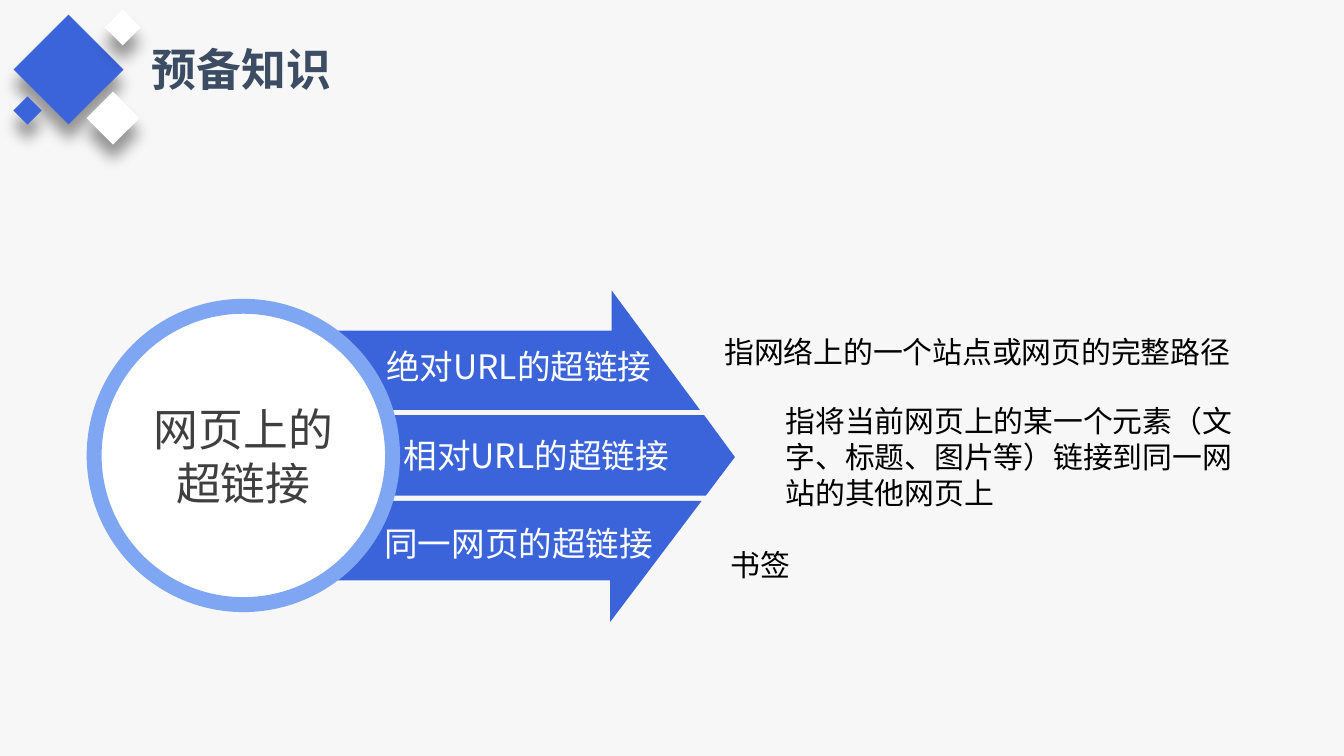
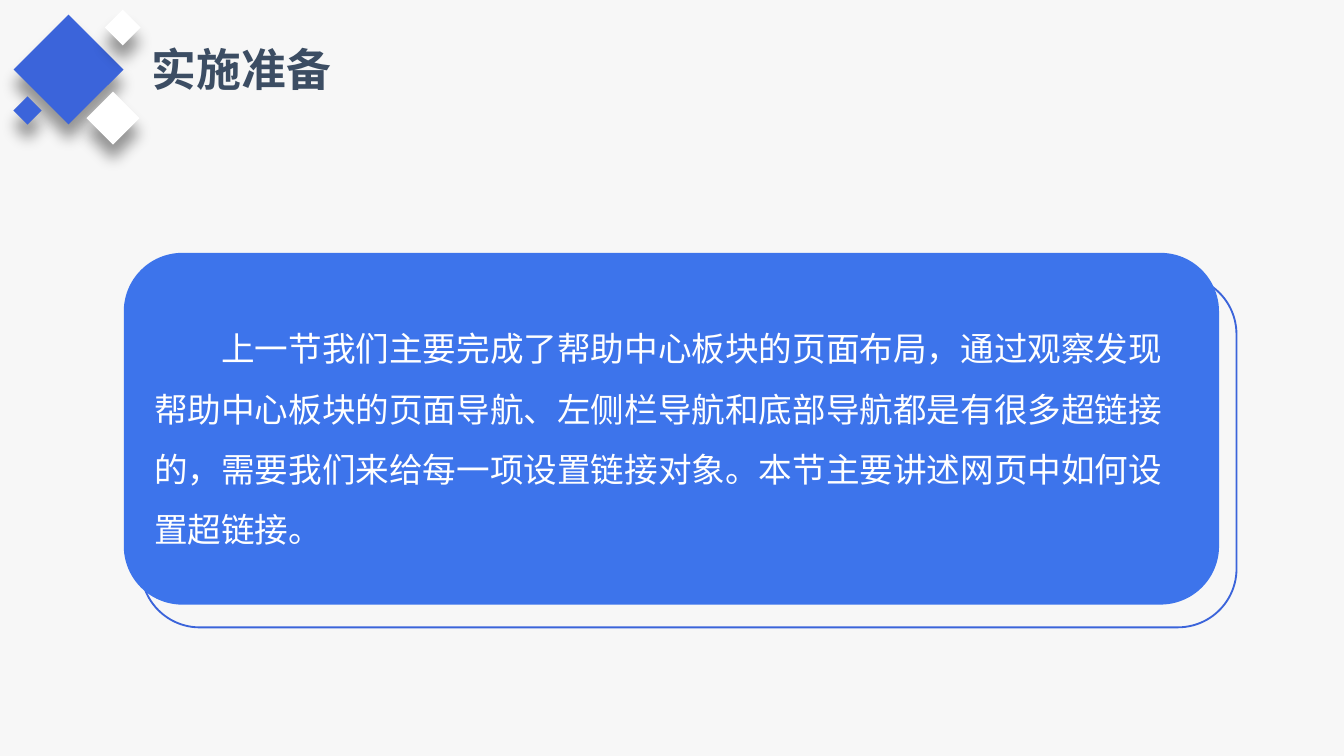
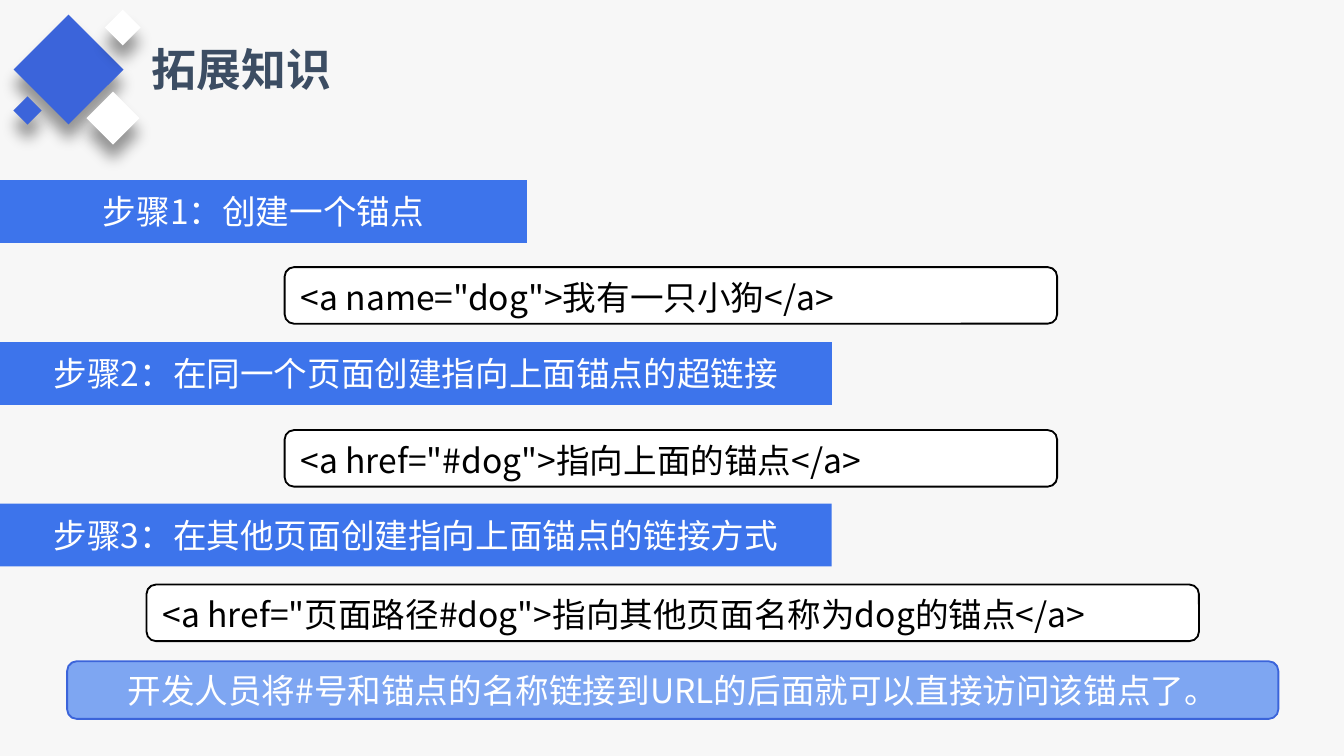
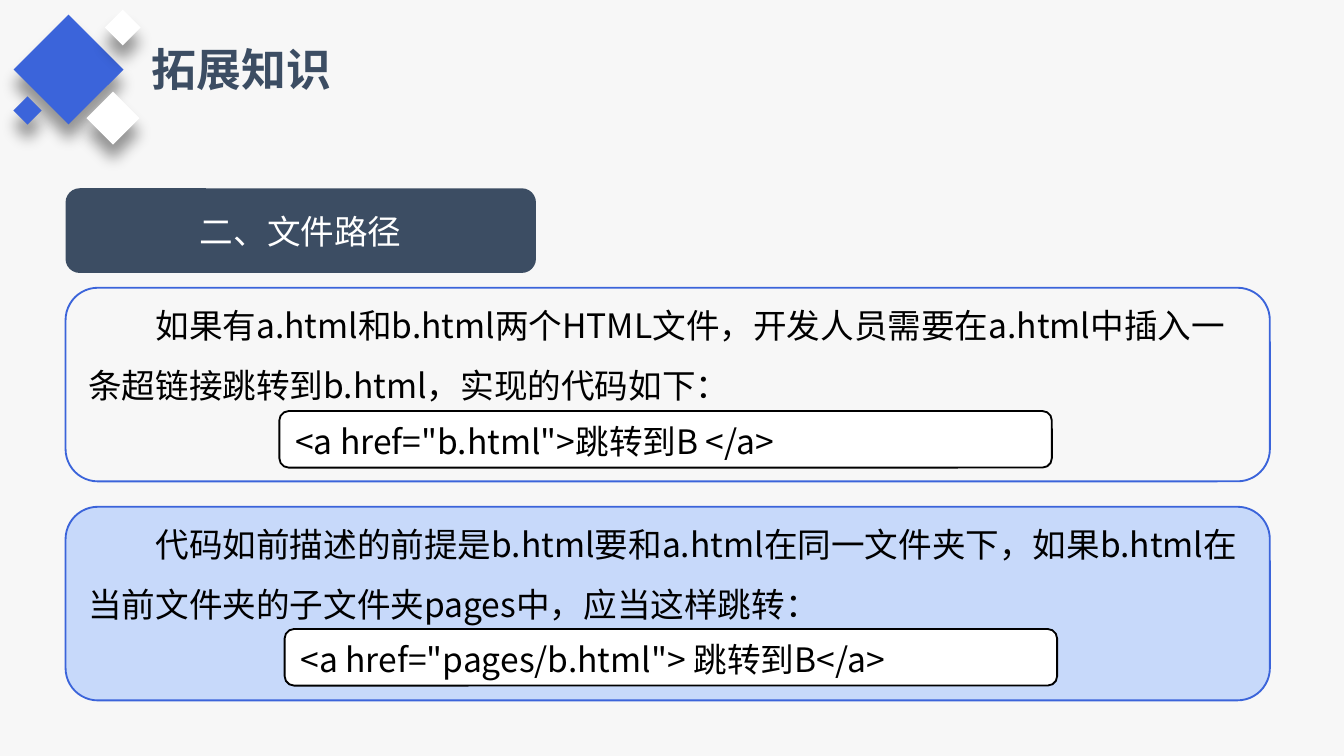
from dataclasses import dataclass
from typing import NamedTuple, Optional

from lxml import etree
from pptx import Presentation
from pptx.dml.color import RGBColor
from pptx.enum.shapes import MSO_SHAPE
from pptx.enum.text import MSO_ANCHOR, MSO_AUTO_SIZE, PP_ALIGN
from pptx.oxml.ns import qn
from pptx.shapes.autoshape import Shape
from pptx.slide import Slide
from pptx.util import Cm, Pt

RECT = MSO_SHAPE.RECTANGLE
ROUND = MSO_SHAPE.ROUNDED_RECTANGLE
OVAL = MSO_SHAPE.OVAL
PROCESS = MSO_SHAPE.FLOWCHART_PROCESS
SOFT = MSO_SHAPE.FLOWCHART_ALTERNATE_PROCESS
TOP, MIDDLE = MSO_ANCHOR.TOP, MSO_ANCHOR.MIDDLE
LEFT, CENTER = PP_ALIGN.LEFT, PP_ALIGN.CENTER

FONT = "Noto Sans CJK SC"
PAPER = RGBColor(0xF7, 0xF7, 0xF7)
SLATE = RGBColor(0x3C, 0x4D, 0x63)
ROYAL = RGBColor(0x3B, 0x64, 0xDA)
BRIGHT = RGBColor(0x3D, 0x74, 0xEB)
SKY = RGBColor(0x7E, 0xA6, 0xF2)
PALE = RGBColor(0xC7, 0xD9, 0xFA)
GREY = RGBColor(0x3F, 0x3F, 0x3F)
WHITE = RGBColor(0xFF, 0xFF, 0xFF)
BLACK = RGBColor(0x00, 0x00, 0x00)


class Box(NamedTuple):
    """Left, top, width and height in centimetres."""
    x: float
    y: float
    w: float
    h: float


class Pad(NamedTuple):
    """Left, top, right and bottom text margins in centimetres."""
    left: float = 0.25
    top: float = 0.13
    right: float = 0.25
    bottom: float = 0.13


@dataclass(frozen=True)
class Style:
    color: RGBColor = BLACK
    size: int = 18
    bold: bool = False
    align: int = LEFT
    anchor: int = MIDDLE
    pad: Pad = Pad()
    indent: float = 0
    leading: Optional[float] = None


@dataclass(frozen=True)
class Look:
    kind: int
    fill: Optional[RGBColor] = None
    line: Optional[RGBColor] = None
    width: float = 1


class Gem(NamedTuple):
    x: float
    y: float
    side: float
    color: RGBColor


class Part(NamedTuple):
    """One strip of the large arrow."""
    text: str
    pad: Pad
    points: list[tuple[float, float]]


class Step(NamedTuple):
    head: str
    kind: int
    width: float
    code: str
    box: Box


class Card(NamedTuple):
    text: str
    fill: Optional[RGBColor]
    top: float
    code: str
    box: Box


# Shared styles
TITLE = Style(SLATE, 24, bold=True, anchor=TOP)
LABEL = Style(WHITE, align=CENTER)
CODE = Style(anchor=TOP)
NOTE = Style(size=16, anchor=TOP)
CODE_BOX = Look(SOFT, WHITE, BLACK)

GEMS = [
    Gem(0.56, 0.58, 1.47, ROYAL),
    Gem(1.78, 1.88, 0.71, WHITE),
    Gem(2.08, 0.28, 0.48, WHITE),
    Gem(0.33, 1.9, 0.38, ROYAL),
]


def write(shape: Shape, text: str, style: Style) -> None:
    frame = shape.text_frame
    frame.word_wrap = True
    frame.vertical_anchor = style.anchor
    pad = style.pad
    frame.margin_left, frame.margin_top = Cm(pad.left), Cm(pad.top)
    frame.margin_right, frame.margin_bottom = Cm(pad.right), Cm(pad.bottom)
    para = frame.paragraphs[0]
    para.text = text
    para.alignment = style.align
    if style.leading:
        para.line_spacing = style.leading
    props = para._p.get_or_add_pPr()
    if style.indent:
        props.set("marL", "0")
        props.set("indent", str(Cm(style.indent)))
    font = para.font
    font.size, font.bold, font.name = Pt(style.size), style.bold, FONT
    font.color.rgb = style.color
    # East Asian letters take their own font entry
    etree.SubElement(props.find(qn("a:defRPr")), qn("a:ea"), typeface=FONT)


def paint(shape: Shape, look: Look) -> None:
    shape.shadow.inherit = False
    if look.fill is None:
        shape.fill.background()
    else:
        shape.fill.solid()
        shape.fill.fore_color.rgb = look.fill
    if look.line is None:
        shape.line.fill.background()
    else:
        shape.line.color.rgb = look.line
        shape.line.width = Pt(look.width)


def block(slide: Slide, box: Box, look: Look, text: str = "",
          style: Style = LABEL) -> Shape:
    shape = slide.shapes.add_shape(look.kind, *map(Cm, box))
    paint(shape, look)
    if text:
        write(shape, text, style)
    return shape


def label(slide: Slide, box: Box, text: str, style: Style) -> Shape:
    shape = slide.shapes.add_textbox(*map(Cm, box))
    write(shape, text, style)
    return shape


def strip(slide: Slide, part: Part) -> None:
    start, *rest = [(Cm(x), Cm(y)) for x, y in part.points]
    pen = slide.shapes.build_freeform(*start)
    pen.add_line_segments(rest, close=True)
    shape = pen.convert_to_shape()
    paint(shape, Look(RECT, ROYAL))
    write(shape, part.text, Style(WHITE, align=CENTER, pad=part.pad))


def shade(shape: Shape) -> None:
    """Add a soft shadow straight below the shape."""
    effects = shape._element.spPr.find(qn("a:effectLst"))
    drop = etree.SubElement(
        effects, qn("a:outerShdw"), blurRad=str(Pt(8)), dist=str(Pt(8)),
        dir="5400000", algn="t", rotWithShape="0")
    color = etree.SubElement(drop, qn("a:srgbClr"), val=str(BLACK))
    etree.SubElement(color, qn("a:alpha"), val="40000")


def page(deck: Presentation, title: str) -> Slide:
    """Start a slide with its background, title and gem cluster."""
    slide = deck.slides.add_slide(deck.slide_layouts[6])
    slide.background.fill.solid()
    slide.background.fill.fore_color.rgb = PAPER
    head = label(slide, Box(2.62, 0.66, 3.91, 1.27), title, TITLE)
    head.text_frame.word_wrap = False
    head.text_frame.auto_size = MSO_AUTO_SIZE.SHAPE_TO_FIT_TEXT
    for gem in GEMS:
        box = Box(gem.x, gem.y, gem.side, gem.side)
        shape = block(slide, box, Look(RECT, gem.color))
        shape.rotation = 45
        shade(shape)
    return slide


# Slide 1: kinds of links
PARTS = [
    Part("绝对URL的超链接", Pad(0, 0.61, 0, 0),
         [(6.38, 7.75), (6.38, 6.25), (11.56, 6.25), (11.56, 5.49),
          (13.23, 7.75)]),
    Part("相对URL的超链接", Pad(0, 0, 0, 0),
         [(6.38, 7.85), (13.31, 7.85), (13.89, 8.64), (13.34, 9.37),
          (6.4, 9.37)]),
    Part("同一网页的超链接", Pad(0, 0, 0, 0.71),
         [(6.35, 9.47), (13.26, 9.47), (11.53, 11.76), (11.53, 10.97),
          (6.38, 10.97)]),
]
NOTES = [
    (Box(13.44, 6.17, 10.39, 1.27), "指网络上的一个站点或网页的完整路径"),
    (Box(13.56, 10.21, 7.47, 1.3), "书签"),
    (Box(14.6, 7.49, 9.22, 1.27),
     "指将当前网页上的某一个元素（文字、标题、图片等）链接到同一网站的其他网页上"),
]


def kinds(deck: Presentation) -> None:
    slide = page(deck, "预备知识")
    for part in PARTS:
        strip(slide, part)
    block(slide, Box(1.78, 5.79, 5.64, 5.64), Look(OVAL, WHITE, SKY, 8),
          "网页上的超链接",
          Style(GREY, 24, align=CENTER, pad=Pad(0, 0, 0, 0)))
    for box, text in NOTES:
        label(slide, box, text, NOTE)


# Slide 2: what comes next
def intro(deck: Presentation) -> None:
    slide = page(deck, "实施准备")
    panel = Box(2.34, 4.78, 20.7, 6.65)
    frame = panel._replace(x=panel.x + 0.33, y=panel.y + 0.43)
    block(slide, frame, Look(ROUND, line=ROYAL))
    block(slide, panel, Look(ROUND, BRIGHT),
          "上一节我们主要完成了帮助中心板块的页面布局，通过观察发现"
          "帮助中心板块的页面导航、左侧栏导航和底部导航都是有很多超链接"
          "的，需要我们来给每一项设置链接对象。本节主要讲述网页中如何设"
          "置超链接。",
          Style(WHITE, indent=1.27, leading=1.5))


# Slide 3: anchors in three steps
STEPS = [
    Step("步骤1：创建一个锚点", PROCESS, 9.96,
         '<a name="dog">我有一只小狗</a>', Box(5.38, 5.05, 14.6, 1.07)),
    Step("步骤2：在同一个页面创建指向上面锚点的超链接", PROCESS, 15.72,
         '<a href="#dog">指向上面的锚点</a>', Box(5.38, 8.13, 14.6, 1.07)),
    Step("步骤3：在其他页面创建指向上面锚点的链接方式", RECT, 15.72,
         '<a href="页面路径#dog">指向其他页面名称为dog的锚点</a>',
         Box(2.77, 11.05, 19.89, 1.07)),
]


def anchors(deck: Presentation) -> None:
    slide = page(deck, "拓展知识")
    for row, step in enumerate(STEPS):
        bar = Box(0, 3.4 + 3.06 * row, step.width, 1.19)
        block(slide, bar, Look(step.kind, BRIGHT), step.head)
        block(slide, step.box, CODE_BOX, step.code, CODE)
    block(slide, Box(1.27, 12.5, 22.89, 1.09), Look(ROUND, SKY, ROYAL),
          "开发人员将#号和锚点的名称链接到URL的后面就可以直接访问该锚点了。")


# Slide 4: file paths
CARDS = [
    Card("如果有a.html和b.html两个HTML文件，开发人员需要在a.html中插"
         "入一条超链接跳转到b.html，实现的代码如下：", None, 5.44,
         '<a href="b.html">跳转到B </a>', Box(5.28, 7.77, 14.6, 1.07)),
    Card("代码如前描述的前提是b.html要和a.html在同一文件夹下，如果b.html"
         "在当前文件夹的子文件夹pages中，应当这样跳转：", PALE, 9.58,
         '<a href="pages/b.html"> 跳转到B</a>',
         Box(5.38, 11.89, 14.6, 1.07)),
]


def paths(deck: Presentation) -> None:
    slide = page(deck, "拓展知识")
    block(slide, Box(1.24, 3.56, 8.89, 1.6), Look(ROUND, SLATE),
          "二、文件路径")
    prose = Style(pad=Pad(top=0.99, bottom=2.49), indent=1.27, leading=1.5)
    for card in CARDS:
        block(slide, Box(1.24, card.top, 22.76, 3.66),
              Look(ROUND, card.fill, ROYAL), card.text, prose)
        block(slide, card.box, CODE_BOX, card.code, CODE)


def main() -> None:
    deck = Presentation()
    deck.slide_width, deck.slide_height = Cm(25.4), Cm(14.29)
    for build in (kinds, intro, anchors, paths):
        build(deck)
    deck.save("out.pptx")


if __name__ == "__main__":
    main()
